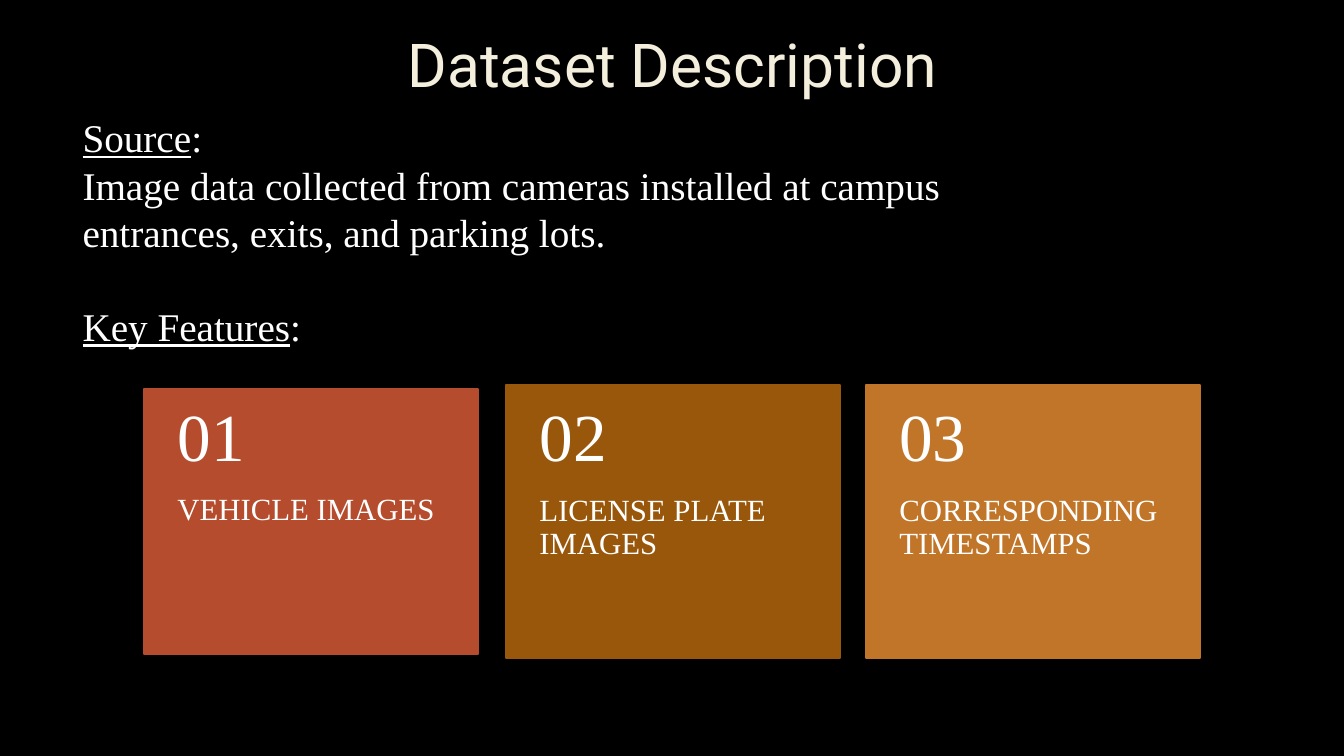
from pptx import Presentation
from pptx.dml.color import RGBColor
from pptx.enum.shapes import MSO_SHAPE
from pptx.enum.text import MSO_ANCHOR, MSO_AUTO_SIZE, PP_ALIGN
from pptx.util import Inches, Pt

RECTANGLE = MSO_SHAPE.RECTANGLE
TOP, MIDDLE = MSO_ANCHOR.TOP, MSO_ANCHOR.MIDDLE
NO_FIT = MSO_AUTO_SIZE.NONE
CENTER = PP_ALIGN.CENTER

BLACK = RGBColor(0x00, 0x00, 0x00)
WHITE = RGBColor(0xFF, 0xFF, 0xFF)
CREAM = RGBColor(0xF4, 0xEE, 0xDC)
RED = RGBColor(0xB5, 0x4C, 0x2D)
BROWN = RGBColor(0x99, 0x57, 0x0C)
ORANGE = RGBColor(0xC1, 0x75, 0x29)

SERIF = "Times New Roman"
CARD_WIDTH = 3.31
CARDS = [
    ("01", "VEHICLE IMAGES", RED, 1.43, 3.86, 2.63),
    ("02", "LICENSE PLATE IMAGES", BROWN, 5.02, 3.82, 2.71),
    ("03", "CORRESPONDING TIMESTAMPS", ORANGE, 8.59, 3.82, 2.71),
]


def add_span(para, text, size, color=WHITE, font=SERIF, underline=None):
    """Add one formatted run to a paragraph."""
    span = para.add_run()
    span.text = text
    span.font.size = Pt(size)
    span.font.name = font
    span.font.color.rgb = color
    span.font.underline = underline


def add_title(page, text):
    """Place and format the slide title."""
    title = page.shapes.title
    title.left, title.top = Inches(1.01), Inches(0.31)
    title.width, title.height = Inches(11.32), Inches(0.63)
    frame = title.text_frame
    frame.auto_size = NO_FIT
    frame.vertical_anchor = MIDDLE
    para = frame.paragraphs[0]
    para.alignment = CENTER
    add_span(para, text, 43.2, CREAM, "Roboto")


def add_box(page, left, top, width, height):
    """Add a wrapping text box and return its frame."""
    box = page.shapes.add_textbox(Inches(left), Inches(top), Inches(width), Inches(height))
    box.text_frame.word_wrap = True
    return box.text_frame


def add_heading(para, text):
    """Add an underlined heading followed by a colon."""
    add_span(para, text, 28, underline=True)
    add_span(para, ":", 28)


def add_description(page):
    """Add the source description and the features heading."""
    frame = add_box(page, 0.72, 1.08, 9.95, 2.46)
    add_heading(frame.paragraphs[0], "Source")
    add_span(
        frame.add_paragraph(),
        "Image data collected from cameras installed at campus entrances, exits, and parking lots.",
        28,
    )
    features = frame.add_paragraph()
    features.space_before = Pt(33.6)
    add_heading(features, "Key Features")


def add_card_text(page, text, size, left, top, height, anchor, inset_top, inset_bottom):
    """Add one inset line of card text."""
    frame = add_box(page, left, top, CARD_WIDTH, height)
    frame.vertical_anchor = anchor
    frame.margin_left = frame.margin_right = Inches(0.33)
    frame.margin_top, frame.margin_bottom = Inches(inset_top), Inches(inset_bottom)
    para = frame.paragraphs[0]
    para.line_spacing = 0.9
    add_span(para, text, size)


def add_card(page, number, label, color, left, top, height):
    """Add a coloured card with its number and label."""
    card = page.shapes.add_shape(
        RECTANGLE, Inches(left), Inches(top), Inches(CARD_WIDTH), Inches(height)
    )
    card.shadow.inherit = False
    card.fill.solid()
    card.fill.fore_color.rgb = color
    card.line.color.rgb = color
    card.line.width = Pt(1.25)
    add_card_text(page, label, 22, left, 4.91, 1.6, TOP, 0, 0.36)
    add_card_text(page, number, 48, left, 3.82, 1.08, MIDDLE, 0.18, 0.18)


def main():
    """Build and save the slide."""
    deck = Presentation()
    deck.slide_width, deck.slide_height = Inches(13.33), Inches(7.5)
    page = deck.slides.add_slide(deck.slide_layouts[5])
    page.background.fill.solid()
    page.background.fill.fore_color.rgb = BLACK
    add_title(page, "Dataset Description")
    for card in CARDS:
        add_card(page, *card)
    add_description(page)
    deck.save("out.pptx")


if __name__ == "__main__":
    main()
